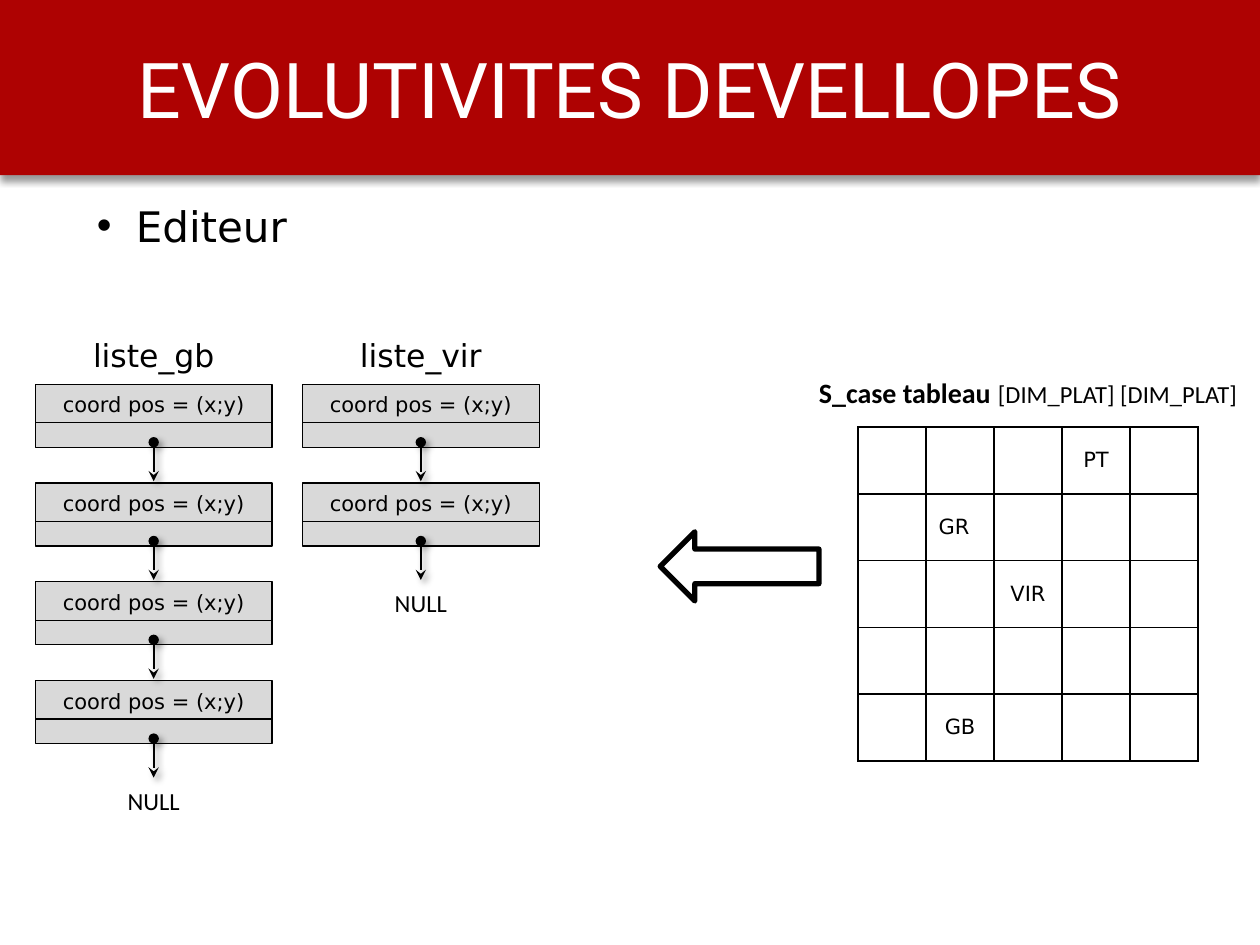
from dataclasses import dataclass

from lxml.etree import SubElement
from pptx import Presentation
from pptx.dml.color import RGBColor
from pptx.enum.shapes import MSO_CONNECTOR, MSO_SHAPE
from pptx.enum.text import MSO_ANCHOR, MSO_AUTO_SIZE, PP_ALIGN
from pptx.oxml.ns import qn
from pptx.util import Inches, Pt

SLIDE_WIDTH, SLIDE_HEIGHT = Inches(10), Inches(7.5)
GRID_COLUMNS = 100
UNIT = SLIDE_WIDTH / GRID_COLUMNS
BLACK, WHITE, RED, GREY = "000000", "FFFFFF", "AE0202", "D9D9D9"
BODY_FONT, TITLE_FONT, LABEL_FONT = "DejaVu Sans", "Roboto", "Calibri"
NODE_HEIGHT, NODE_PITCH, NODE_DIVIDER = 5, 7.84, 3.05
ARROW_OFFSET, ARROW_LENGTH = 4.6, 3.1


@dataclass
class Box:
    left: float
    top: float
    width: float
    height: float

    @property
    def center(self):
        return self.left + self.width / 2

    def lengths(self):
        return [grid(value) for value in (self.left, self.top, self.width, self.height)]


def grid(value):
    return round(value * UNIT)


def color(value):
    return RGBColor.from_string(value)


def add_run(paragraph, text, size, font=BODY_FONT, fill=BLACK, bold=False):
    run = paragraph.add_run()
    run.text = text
    run.font.size = Pt(size)
    run.font.name = font
    run.font.bold = bold
    run.font.color.rgb = color(fill)


def add_text(slide, box, runs, alignment=PP_ALIGN.CENTER):
    frame = slide.shapes.add_textbox(*box.lengths()).text_frame
    frame.word_wrap = True
    paragraph = frame.paragraphs[0]
    paragraph.alignment = alignment
    for run in runs:
        add_run(paragraph, *run)
    return paragraph


def set_shadow(shape, degrees=None):
    effects = SubElement(shape._element.spPr, qn("a:effectLst"))
    if degrees is not None:
        shadow = SubElement(effects, qn("a:outerShdw"), blurRad=str(Pt(4)),
                            dist=str(Pt(3)), dir=str(degrees * 60000), rotWithShape="0")
        tint = SubElement(shadow, qn("a:srgbClr"), val=BLACK)
        SubElement(tint, qn("a:alpha"), val="40000")


def add_line(slide, start, end, width, pointer=False):
    points = [grid(value) for value in (*start, *end)]
    line = slide.shapes.add_connector(MSO_CONNECTOR.STRAIGHT, *points)
    line.line.color.rgb = color(BLACK)
    line.line.width = Pt(width)
    if pointer:
        outline = line._element.spPr.find(qn("a:ln"))
        SubElement(outline, qn("a:headEnd"), type="oval")
        SubElement(outline, qn("a:tailEnd"), type="stealth")
    set_shadow(line, 45 if pointer else None)


def add_title(slide, box, text):
    title = slide.shapes.title
    title.left, title.top, title.width, title.height = box.lengths()
    title.fill.solid()
    title.fill.fore_color.rgb = color(RED)
    set_shadow(title, 90)
    frame = title.text_frame
    frame.auto_size = MSO_AUTO_SIZE.NONE
    frame.vertical_anchor = MSO_ANCHOR.MIDDLE
    frame.paragraphs[0].alignment = PP_ALIGN.CENTER
    add_run(frame.paragraphs[0], text, 44, TITLE_FONT, WHITE)


def add_bullet(slide, box, text):
    paragraph = add_text(slide, box, [(text, 24)], PP_ALIGN.LEFT)
    properties = paragraph._p.get_or_add_pPr()
    properties.set("marL", str(grid(3.1)))
    properties.set("indent", str(-grid(3.1)))
    SubElement(properties, qn("a:buFont"), typeface="Arial")
    SubElement(properties, qn("a:buChar"), char="•")


def add_node(slide, box):
    node = slide.shapes.add_shape(MSO_SHAPE.RECTANGLE, *box.lengths())
    node.shadow.inherit = False
    node.fill.solid()
    node.fill.fore_color.rgb = color(GREY)
    node.line.color.rgb = color(BLACK)
    node.line.width = Pt(0.75)
    frame = node.text_frame
    frame.word_wrap = True
    frame.vertical_anchor = MSO_ANCHOR.TOP
    frame.margin_top = grid(0.6)
    paragraph = frame.paragraphs[0]
    paragraph.alignment = PP_ALIGN.CENTER
    add_run(paragraph, "coord pos = (x;y)", 12)
    divider = box.top + NODE_DIVIDER
    add_line(slide, (box.left, divider), (box.left + box.width, divider), 0.75)


def add_linked_list(slide, box, name, count):
    label = Box(box.left + 1.5, box.top - 4.3, box.width - 3, 4)
    add_text(slide, label, [(name, 18)])
    tops = [box.top + index * NODE_PITCH for index in range(count)]
    for top in tops:
        add_node(slide, Box(box.left, top, box.width, NODE_HEIGHT))
    for top in tops:
        start = top + ARROW_OFFSET
        add_line(slide, (box.center, start), (box.center, start + ARROW_LENGTH), 1.25, True)
    end = Box(box.center - 3.95, tops[-1] + NODE_PITCH, 7.9, 3.4)
    add_text(slide, end, [("NULL", 14, LABEL_FONT)])


def add_cell_borders(cell):
    properties = cell._tc.get_or_add_tcPr()
    for side in ("lnL", "lnR", "lnT", "lnB"):
        border = SubElement(properties, qn(f"a:{side}"), w=str(Pt(1)))
        fill = SubElement(border, qn("a:solidFill"))
        SubElement(fill, qn("a:srgbClr"), val=BLACK)


def add_board(slide, box, size, pieces):
    heading = Box(box.center - 19.85, box.top - 4.9, 39.7, 4)
    add_text(slide, heading, [
        ("S_case tableau", 16, LABEL_FONT, BLACK, True),
        (" ", 18, LABEL_FONT),
        ("[DIM_PLAT] [DIM_PLAT]", 14, LABEL_FONT),
    ])
    table = slide.shapes.add_table(size, size, *box.lengths()).table
    table.first_row = table.horz_banding = False
    for column in table.columns:
        column.width = grid(box.width / size)
    for row in table.rows:
        row.height = grid(box.height / size)
    for cell in table.iter_cells():
        add_cell_borders(cell)
        cell.fill.solid()
        cell.fill.fore_color.rgb = color(WHITE)
    for (row, column), (text, alignment) in pieces.items():
        cell = table.cell(row, column)
        cell.vertical_anchor = MSO_ANCHOR.MIDDLE
        paragraph = cell.text_frame.paragraphs[0]
        paragraph.alignment = alignment
        add_run(paragraph, text, 12)


def add_block_arrow(slide, box):
    arrow = slide.shapes.add_shape(MSO_SHAPE.LEFT_ARROW, *box.lengths())
    arrow.shadow.inherit = False
    arrow.fill.background()
    arrow.line.color.rgb = color(BLACK)
    arrow.line.width = Pt(3)


def main():
    presentation = Presentation()
    presentation.slide_width, presentation.slide_height = SLIDE_WIDTH, SLIDE_HEIGHT
    slide = presentation.slides.add_slide(presentation.slide_layouts[5])
    add_title(slide, Box(0, 0, GRID_COLUMNS, 13.9), "EVOLUTIVITES DEVELLOPES")
    add_bullet(slide, Box(6.7, 15.4, 83.5, 5), "Editeur")
    add_board(slide, Box(68.1, 33.9, 27, 26.5), 5, {
        (0, 3): ("PT", PP_ALIGN.CENTER),
        (1, 1): ("GR", PP_ALIGN.LEFT),
        (2, 2): ("VIR", PP_ALIGN.CENTER),
        (4, 1): ("GB", PP_ALIGN.CENTER),
    })
    add_block_arrow(slide, Box(52.4, 42.2, 12.6, 5.5))
    add_linked_list(slide, Box(2.8, 30.5, 18.8, 36), "liste_gb", 4)
    add_linked_list(slide, Box(24, 30.5, 18.8, 20), "liste_vir", 2)
    presentation.save("out.pptx")


if __name__ == "__main__":
    main()
